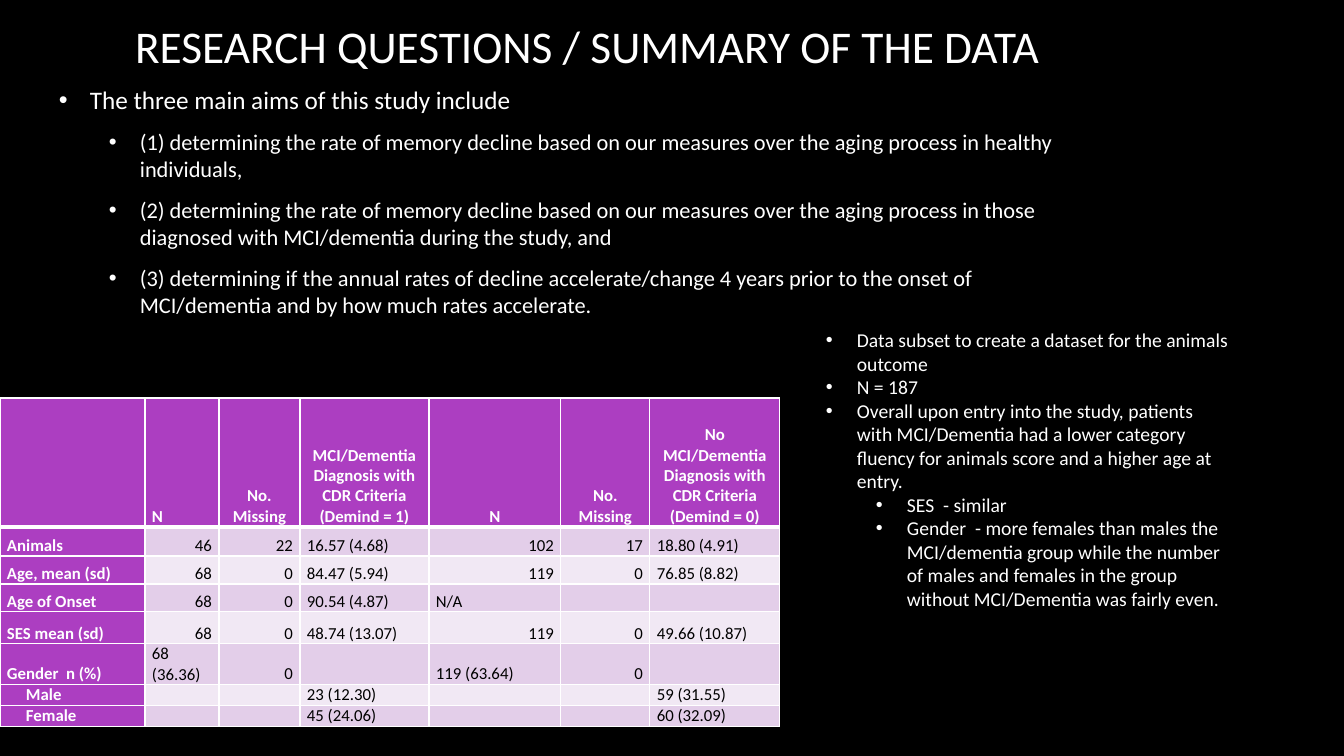
from lxml import etree
from pptx import Presentation
from pptx.dml.color import RGBColor
from pptx.enum import text
from pptx.oxml import ns

PX = 914400 / 100.8
FONT = "Calibri"
COLORS = {"black": "000000", "white": "FFFFFF", "purple": "AC3EC1",
          "dark_band": "E3CEE9", "light_band": "F1E8F4"}

TITLE = "RESEARCH QUESTIONS / SUMMARY OF THE DATA"
AIMS = [
    (0, "The three main aims of this study include"),
    (1, "(1) determining the rate of memory decline based on our measures over the aging process in healthy individuals,"),
    (1, "(2) determining the rate of memory decline based on our measures over the aging process in those diagnosed with MCI/dementia during the study, and"),
    (1, "(3) determining if the annual rates of decline accelerate/change 4 years prior to the onset of MCI/dementia and by how much rates accelerate."),
]
FINDINGS = [
    (0, "Data subset to create a dataset for the animals outcome"),
    (0, "N = 187"),
    (0, "Overall upon entry into the study, patients with MCI/Dementia had a lower category fluency for animals score and a higher age at entry."),
    (1, "SES  - similar"),
    (1, "Gender  - more females than males the MCI/dementia group while the number of males and females in the group without MCI/Dementia was fairly even."),
]
SUMMARY = [
    ["", "N", "No. Missing", "MCI/Dementia Diagnosis with CDR Criteria (Demind = 1)",
     "N", "No. Missing", "No MCI/Dementia Diagnosis with CDR Criteria (Demind = 0)"],
    ["Animals", "46", "22", "16.57 (4.68)", "102", "17", "18.80 (4.91)"],
    ["Age, mean (sd)", "68", "0", "84.47 (5.94)", "119", "0", "76.85 (8.82)"],
    ["Age of Onset", "68", "0", "90.54 (4.87)", "N/A", "", ""],
    ["SES mean (sd)", "68", "0", "48.74 (13.07)", "119", "0", "49.66 (10.87)"],
    ["Gender  n (%)", "68 (36.36)", "0", "", "119 (63.64)", "0", ""],
    ["Male", "", "", "23 (12.30)", "", "", "59 (31.55)"],
    ["Female", "", "", "45 (24.06)", "", "", "60 (32.09)"],
]
COLUMN_WIDTHS = [145, 74, 81, 129, 132, 89, 130]
ROW_HEIGHTS = [129, 29, 28, 28, 32, 40, 21, 21]
SUBGROUPS = ("Male", "Female")

TITLE_BOX = (125, 12, 1058, 66)
AIMS_BOX = (49, 78, 1058, 246)
FINDINGS_BOX = (816, 323, 423, 387)
TABLE_BOX = (0, 398, sum(COLUMN_WIDTHS), sum(ROW_HEIGHTS))
HANGING, LEVEL_STEP = 31, 50


def emu(px):
    return round(px * PX)


def box(px_values):
    return [emu(v) for v in px_values]


def rgb(name):
    return RGBColor.from_string(COLORS[name])


def apply(target, values):
    for key, value in values.items():
        setattr(target, key, value)


def write(paragraph, words, size, color="white", bold=False):
    run = paragraph.add_run()
    run.text = words
    apply(run.font, {"name": FONT, "size": round(size * 12700), "bold": bold})
    run.font.color.rgb = rgb(color)


def add_bullets(slide, place, items, sizes, gap, anchor):
    frame = slide.shapes.add_textbox(*box(place)).text_frame
    apply(frame, {"word_wrap": True, "vertical_anchor": anchor})
    for index, (level, words) in enumerate(items):
        paragraph = frame.add_paragraph() if index else frame.paragraphs[0]
        apply(paragraph, {"level": level, "space_after": gap * 12700})
        write(paragraph, words, sizes[level])
        props = paragraph._p.get_or_add_pPr()
        props.set("marL", str(emu(HANGING + level * LEVEL_STEP)))
        props.set("indent", str(-emu(HANGING)))
        etree.SubElement(props, ns.qn("a:buFont"), typeface="Arial")
        etree.SubElement(props, ns.qn("a:buChar"), char="•")


def set_borders(cell, row):
    props = cell._tc.get_or_add_tcPr()
    widths = {"lnL": 1, "lnR": 1, "lnT": 3 if row == 1 else 1, "lnB": 3 if row == 0 else 1}
    for position, (side, width) in enumerate(widths.items()):
        line = etree.Element(ns.qn("a:" + side), w=str(width * 12700))
        fill = etree.SubElement(line, ns.qn("a:solidFill"))
        etree.SubElement(fill, ns.qn("a:srgbClr"), val=COLORS["white"])
        props.insert(position, line)


def alignment(row, column, words):
    if row == 0 and column > 1:
        return text.PP_ALIGN.CENTER
    return text.PP_ALIGN.RIGHT if row and words.isdigit() else text.PP_ALIGN.LEFT


def fill_cell(cell, row, column, words):
    heading = row == 0 or column == 0
    band = "dark_band" if row % 2 else "light_band"
    cell.fill.solid()
    cell.fill.fore_color.rgb = rgb("purple" if heading else band)
    apply(cell, {"margin_left": emu(26 if words in SUBGROUPS else 7), "margin_right": emu(7),
                 "margin_top": 0, "margin_bottom": 0,
                 "vertical_anchor": text.MSO_ANCHOR.BOTTOM})
    paragraph = cell.text_frame.paragraphs[0]
    paragraph.alignment = alignment(row, column, words)
    if words:
        write(paragraph, words, 12, "white" if heading else "black", heading)
    else:
        etree.SubElement(paragraph._p, ns.qn("a:endParaRPr"), sz="1200")
    set_borders(cell, row)


def add_summary(slide):
    table = slide.shapes.add_table(len(SUMMARY), len(COLUMN_WIDTHS), *box(TABLE_BOX)).table
    for column, width in zip(table.columns, COLUMN_WIDTHS):
        column.width = emu(width)
    for row, height in zip(table.rows, ROW_HEIGHTS):
        row.height = emu(height)
    for row, values in enumerate(SUMMARY):
        for column, words in enumerate(values):
            fill_cell(table.cell(row, column), row, column, words)


def main():
    deck = Presentation()
    apply(deck, {"slide_width": emu(1344), "slide_height": emu(756)})
    slide = deck.slides.add_slide(deck.slide_layouts[5])
    slide.background.fill.solid()
    slide.background.fill.fore_color.rgb = rgb("black")

    title = slide.shapes.title
    apply(title, dict(zip(("left", "top", "width", "height"), box(TITLE_BOX))))
    apply(title.text_frame, {"word_wrap": True, "auto_size": text.MSO_AUTO_SIZE.NONE,
                             "vertical_anchor": text.MSO_ANCHOR.MIDDLE})
    heading = title.text_frame.paragraphs[0]
    heading.alignment = text.PP_ALIGN.LEFT
    write(heading, TITLE, 32.4)

    add_bullets(slide, AIMS_BOX, AIMS, (18, 16), 10, text.MSO_ANCHOR.MIDDLE)
    add_summary(slide)
    add_bullets(slide, FINDINGS_BOX, FINDINGS, (14, 14), 0, text.MSO_ANCHOR.TOP)
    deck.save("out.pptx")


if __name__ == "__main__":
    main()
